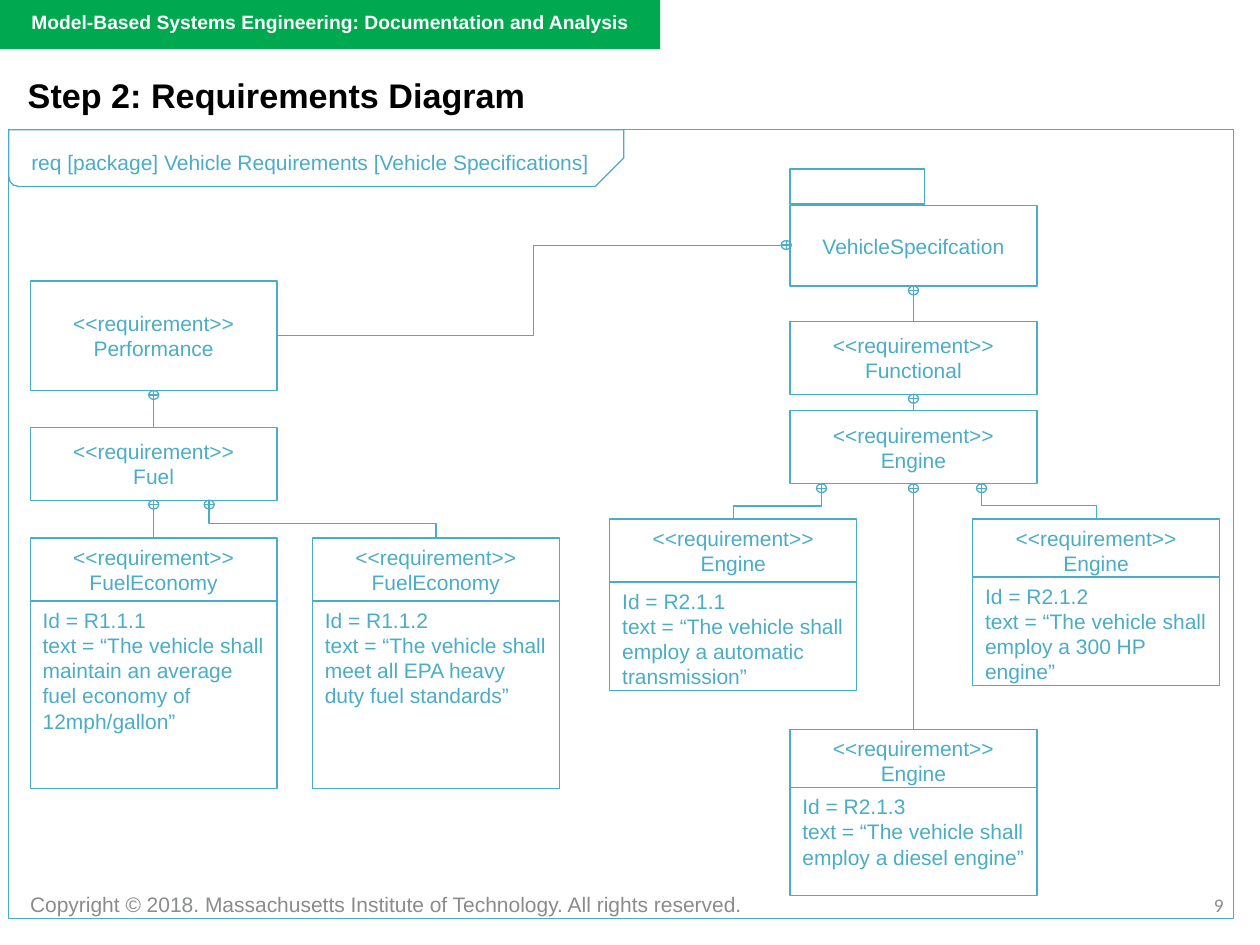
from lxml.etree import SubElement
from pptx import Presentation
from pptx.dml.color import RGBColor
from pptx.enum.shapes import MSO_CONNECTOR as Link, MSO_SHAPE as Shape
from pptx.enum.text import MSO_ANCHOR as Anchor, PP_ALIGN as Align
from pptx.oxml.ns import qn
from pptx.util import Emu, Pt

SCALE = 9144
TEAL, GREEN, GRAY, WHITE, BLACK = "4BACC6", "00A94F", "8A8B8C", "FFFFFF", "000000"
BOX_W = 196
RING_W, RING_H = 8, 7
KIND = "<<requirement>>"


def px(value):
    return Emu(round(value * SCALE))


def color(code):
    return RGBColor.from_string(code)


def write(shape, lines, size=12, code=TEAL, align=Align.LEFT, anchor=Anchor.TOP,
          bold=False, wrap=True, font="Arial"):
    frame = shape.text_frame
    frame.text = "\n".join(lines)
    frame.word_wrap = wrap
    frame.vertical_anchor = anchor
    for para in frame.paragraphs:
        para.alignment = align
        for span in para.runs:
            span.font.name = font
            span.font.size = Pt(size)
            span.font.bold = bold
            span.font.color.rgb = color(code)


def add_text(page, box, line, **style):
    write(page.shapes.add_textbox(*map(px, box)), [line], **style)


def outline(page, box, kind=Shape.RECTANGLE):
    shape = page.shapes.add_shape(kind, *map(px, box))
    shape.shadow.inherit = False
    shape.fill.background()
    shape.line.color.rgb = color(TEAL)
    shape.line.width = Pt(0.75)
    return shape


def connect(page, kind, x1, y1, x2, y2):
    link = page.shapes.add_connector(kind, *map(px, (x1, y1, x2, y2)))
    link.line.color.rgb = color(TEAL)
    link.line.width = Pt(0.75)
    SubElement(link._element.spPr, qn("a:effectLst"))
    return link


def block(page, box, lines):
    shape = outline(page, box)
    write(shape, lines, align=Align.CENTER, anchor=Anchor.MIDDLE)
    return shape


def requirement(page, box, name, head_h, number, wording):
    x, y, width, height = box
    head = outline(page, (x, y, width, head_h))
    write(head, [KIND, name], align=Align.CENTER)
    body = outline(page, (x, y + head_h, width, height - head_h))
    write(body, [f"Id = {number}", f"text = “The vehicle shall {wording}”"])
    return head


def ring(page, x, y):
    outline(page, (x, y, RING_W, RING_H), Shape.FLOWCHART_OR)


def contain(page, parent, child, shift=0):
    x = (parent.left + parent.width / 2) / SCALE + shift
    y = (parent.top + parent.height) / SCALE
    ring(page, x - RING_W / 2, y)
    if not shift:
        link = connect(page, Link.STRAIGHT, x, y, x, y)
        link.begin_connect(child, 0)
        link.end_connect(parent, 2)
        return
    start_x = (child.left + child.width / 2) / SCALE
    start_y, end_y = child.top / SCALE, y + RING_H
    mid_x, mid_y = (start_x + x) / 2, (start_y + end_y) / 2
    rise, run = (start_y - end_y) / 2, (x - start_x) / 2
    link = connect(page, Link.ELBOW, mid_x - rise, mid_y - run, mid_x + rise, mid_y + run)
    link.rotation = 270


def header(page, box):
    x, y, width, height = box
    bar = page.shapes.add_shape(Shape.RECTANGLE, *map(px, box))
    bar.shadow.inherit = False
    bar.fill.solid()
    bar.fill.fore_color.rgb = color(GREEN)
    bar.line.fill.background()
    add_text(page, (x + 16, y + 3, width - 1, height + 19),
             "Model-Based Systems Engineering: Documentation and Analysis",
             size=11, code=WHITE, bold=True)


def heading(page, box):
    title = page.shapes.title
    title.left, title.top, title.width, title.height = map(px, box)
    write(title, ["Step 2: Requirements Diagram"], size=19.5, code=BLACK,
          anchor=Anchor.MIDDLE, bold=True)


def diagram_frame(page, box):
    x, y, width, height = box
    outline(page, box)
    tab = outline(page, (x, y, 488, 45), Shape.SNIP_ROUND_RECTANGLE)
    tab.adjustments[0], tab.adjustments[1] = 0.17, 0.5
    tab._element.spPr.find(qn("a:xfrm")).set("flipV", "1")
    add_text(page, (x + 8, y + 11, 543, 31),
             "req [package] Vehicle Requirements [Vehicle Specifications]")


def performance_branch(page, box):
    x, y, width, height = box
    performance = block(page, (x, y, BOX_W, 87), [KIND, "Performance"])
    fuel = block(page, (x, y + 116, BOX_W, 58), [KIND, "Fuel"])
    contain(page, performance, fuel)
    leaves = [
        (0, 0, "R1.1.1", "maintain an average fuel economy of 12mph/gallon"),
        (width - BOX_W, 44, "R1.1.2", "meet all EPA heavy duty fuel standards"),
    ]
    for left, shift, number, wording in leaves:
        leaf = requirement(page, (x + left, y + 204, BOX_W, height - 204),
                           "FuelEconomy", 50, number, wording)
        contain(page, fuel, leaf, shift)
    return performance


def functional_branch(page, box):
    x, y, width, height = box
    middle = x + 143
    outline(page, (middle, y, 107, 28))
    package = block(page, (middle, y + 29, BOX_W, 64), ["VehicleSpecifcation"])
    functional = block(page, (middle, y + 121, BOX_W, 58), [KIND, "Functional"])
    engine = block(page, (middle, y + 192, BOX_W, 58), [KIND, "Engine"])
    contain(page, package, functional)
    contain(page, functional, engine)
    leaves = [
        (x, 278, 50, -73, "R2.1.1", "employ a automatic transmission"),
        (x + width - BOX_W, 278, 46, 54, "R2.1.2", "employ a 300 HP engine"),
        (middle, height - 132, 46, 0, "R2.1.3", "employ a diesel engine"),
    ]
    for left, top, head_h, shift, number, wording in leaves:
        leaf = requirement(page, (left, y + top, BOX_W, head_h + 86),
                           "Engine", head_h, number, wording)
        contain(page, engine, leaf, shift)
    return package


def join_branches(page, performance, package):
    link = connect(page, Link.ELBOW, 219, 267, 627, 194)
    link.begin_connect(performance, 3)
    link.end_connect(package, 1)
    ring(page, 620, 191)


def footer(page, box):
    x, y, width, height = box
    add_text(page, (x, y, 596, 30),
             "Copyright © 2018. Massachusetts Institute of Technology. All rights reserved.",
             code=GRAY, wrap=False)
    add_text(page, (x + width - 233, y + 1, 233, height - 1), "9", size=11,
             code=GRAY, align=Align.RIGHT, font="Calibri")


def main():
    deck = Presentation()
    deck.slide_width, deck.slide_height = px(1000), px(750)
    page = deck.slides.add_slide(deck.slide_layouts[5])
    footer(page, (14, 703, 967, 41))
    header(page, (-1, 0, 525, 39))
    heading(page, (12, 48, 900, 55))
    diagram_frame(page, (7, 103, 972, 626))
    performance = performance_branch(page, (24, 223, 420, 403))
    package = functional_branch(page, (484, 134, 484, 577))
    join_branches(page, performance, package)
    deck.save("out.pptx")


if __name__ == "__main__":
    main()
